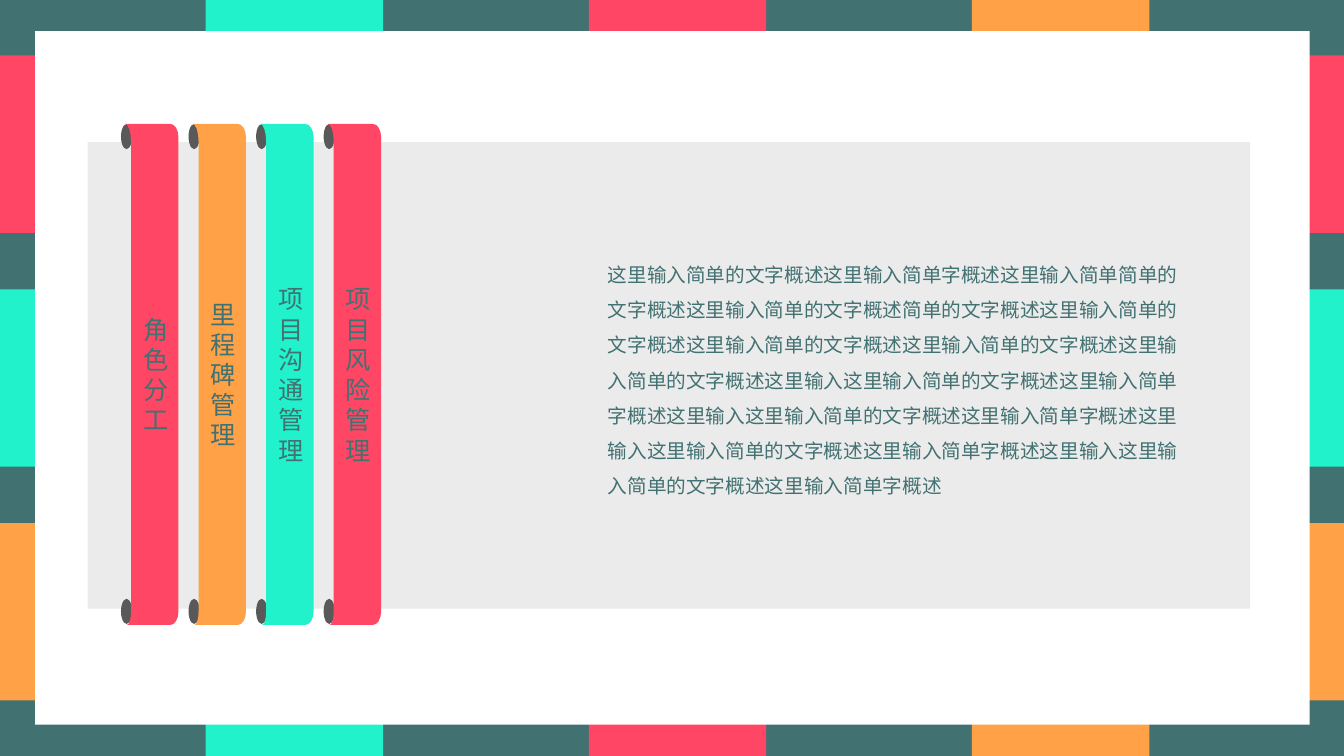
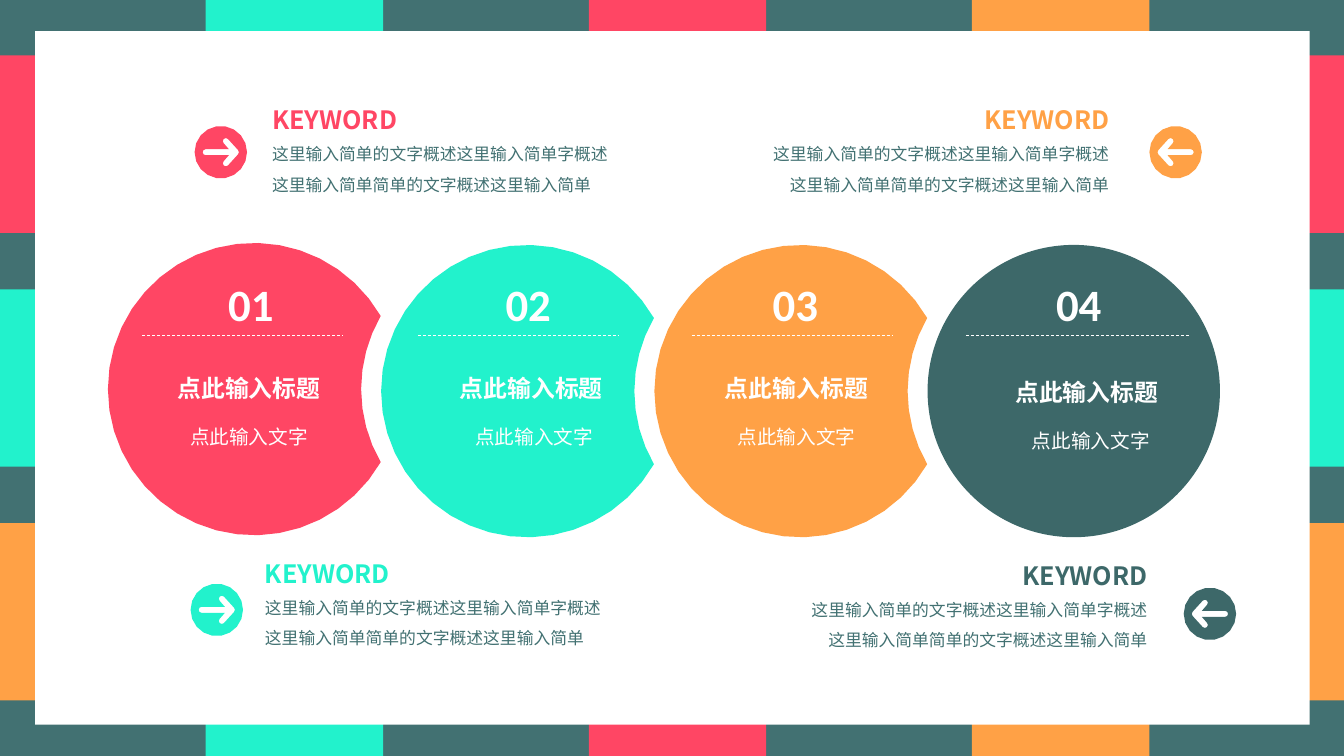
from dataclasses import dataclass
from math import acos, ceil, cos, degrees, radians, sin

from lxml.etree import SubElement
from pptx import Presentation
from pptx.dml.color import RGBColor as RGB
from pptx.enum.dml import MSO_LINE
from pptx.enum.shapes import MSO_CONNECTOR, MSO_SHAPE
from pptx.enum.text import MSO_ANCHOR as ANCHOR, MSO_AUTO_SIZE as FIT, PP_ALIGN as ALIGN
from pptx.oxml.ns import qn
from pptx.util import Inches, Pt


@dataclass(frozen=True)
class Theme:
    teal: str = "427172"
    slate: str = "3D6869"
    mint: str = "22F2CC"
    red: str = "FF4664"
    orange: str = "FFA146"
    white: str = "FFFFFF"
    panel: str = "BFBFBF"
    knob: str = "595959"
    cjk: str = "Noto Sans CJK SC"
    latin: str = "Calibri"
    number: int = 32
    heading: int = 18
    title: int = 17
    body: int = 14
    small: int = 12


t = Theme()
fills = []


def outline(s, contours, color):
    builder = None
    for arcs in contours:
        pts = []
        for cx, cy, rx, ry, start, end in arcs:
            sweep = end - start
            steps = ceil(abs(sweep) / degrees(2 * acos(1 - 0.004 / ry))) if sweep else 0
            for k in range(steps + 1):
                a = radians(start + sweep * k / max(steps, 1))
                pts.append((Inches(cx + rx * cos(a)), Inches(cy + ry * sin(a))))
        if builder is None:
            builder = s.shapes.build_freeform(*pts[0])
        else:
            builder.move_to(*pts[0])
        builder.add_line_segments(pts[1:], close=True)
    sp = builder.convert_to_shape()
    fills.append((sp, color))
    return sp


def write(tf, text, size, color, align=ALIGN.LEFT, bold=False, spacing=1.5, font=t.cjk, wrap=True):
    tf.text = text
    tf.word_wrap = wrap
    p = tf.paragraphs[0]
    p.alignment = align
    p.line_spacing = spacing
    r = p.runs[0]
    r.font.size = Pt(size)
    r.font.bold = bold
    r.font.color.rgb = RGB.from_string(color)
    r.font.name = font
    SubElement(r.font._element, qn("a:ea"), typeface=font)


prs = Presentation()
prs.slide_width, prs.slide_height = Inches(13.33), Inches(7.5)
layout = prs.slide_layouts[6]
for ph in list(layout.placeholders):
    layout.shapes.element.remove(ph.element)
s = prs.slides.add_slide(layout)

frame = [(0, 0, 13.33, 7.5, t.teal)]
for i, color in enumerate((t.red, t.mint, t.orange)):
    frame.append((0, 0.55 + 2.32 * i, 13.33, 1.76, color))
for i, color in enumerate((t.mint, t.red, t.orange)):
    frame.append((2.04 + 3.8 * i, 0, 1.76, 7.5, color))
frame.append((0.35, 0.31, 12.64, 6.88, t.white))
for *box, color in frame:
    sp = s.shapes.add_shape(MSO_SHAPE.RECTANGLE, *map(Inches, box))
    fills.append((sp, color))
    layout.shapes.element.append(sp.element)

panel = s.shapes.add_shape(MSO_SHAPE.RECTANGLE, Inches(0.87), Inches(1.41), Inches(11.53), Inches(4.63))
fills.append((panel, t.panel))

ribbons = [
    ("角色分工", t.red),
    ("里程碑管理", t.orange),
    ("项目沟通管理", t.mint),
    ("项目风险管理", t.red),
]
for i, (label, color) in enumerate(ribbons):
    x = 1.23 + 0.67 * i
    for y in (1.23, 5.94):
        sp = s.shapes.add_shape(MSO_SHAPE.OVAL, Inches(x - 0.03), Inches(y), Inches(0.11), Inches(0.25))
        fills.append((sp, t.knob))
    sp = outline(s, [[
        (x + 0.01, 1.4, 0.06, 0.17, 360, 270),
        (x + 0.46, 1.36, 0.08, 0.13, 270, 360),
        (x + 0.46, 6.07, 0.08, 0.13, 0, 90),
        (x + 0.03, 6.07, 0.04, 0.13, 90, 0),
    ]], color)
    tf = sp.text_frame
    tf.margin_left = Inches(0.08)
    tf.margin_top = tf.margin_right = tf.margin_bottom = 0
    tf.vertical_anchor = ANCHOR.MIDDLE
    write(tf, label, t.heading, t.teal, ALIGN.CENTER, spacing=1.0)

summary = (
    "这里输入简单的文字概述这里输入简单字概述这里输入简单简单的文字概述这里输入简单的文字概述"
    "简单的文字概述这里输入简单的文字概述这里输入简单的文字概述这里输入简单的文字概述"
    "这里输入简单的文字概述这里输入这里输入简单的文字概述这里输入简单字概述这里输入"
    "这里输入简单的文字概述这里输入简单字概述这里输入这里输入简单的文字概述这里输入简单字概述"
    "这里输入这里输入简单的文字概述这里输入简单字概述"
)
tb = s.shapes.add_textbox(Inches(5.93), Inches(2.44), Inches(6.01), Inches(2.57))
tb.text_frame.auto_size = FIT.SHAPE_TO_FIT_TEXT
write(tb.text_frame, summary, t.body, t.teal)

s = prs.slides.add_slide(layout)
radius = 1.45
bite = 2 * radius * cos(radians(30))
steps = [
    (t.red, 3.86, 2.16, 1.41, 3.4, 1.12, 1.12, 3.52),
    (t.mint, 3.88, 4.91, 4.15, 6.14, 3.92, 3.95, 3.52),
    (t.orange, 3.88, 7.56, 6.86, 8.85, 6.55, 6.55, 3.52),
    (t.slate, 3.88, 10.37, 9.58, 11.8, 9.43, 9.47, 3.56),
]
texts = []
for i, (color, cy, number_x, rule_x, rule_end, title_x, caption_x, title_y) in enumerate(steps):
    cx = 2.52 + 2.71 * i
    if i < 3:
        outline(s, [[
            (cx, cy, radius, radius, 30, 330),
            (cx + bite, cy, radius, radius, 210, 150),
        ]], color)
    else:
        sp = s.shapes.add_shape(MSO_SHAPE.OVAL, Inches(cx - radius), Inches(cy - radius),
                                Inches(2 * radius), Inches(2 * radius))
        fills.append((sp, color))
    rule = s.shapes.add_connector(MSO_CONNECTOR.STRAIGHT, Inches(rule_x), Inches(3.33),
                                  Inches(rule_end), Inches(3.33))
    rule.line.color.rgb = RGB.from_string(t.white)
    rule.line.width = Pt(0.5)
    rule.line.dash_style = MSO_LINE.DASH
    SubElement(rule.element.spPr, qn("a:effectLst"))
    white = dict(color=t.white, align=ALIGN.CENTER)
    texts += [
        ((number_x, 2.43, 0.66, 0.83),
         dict(white, text=f"{i + 1:02}", size=t.number, bold=True, font=t.latin, wrap=False)),
        ((title_x, title_y, 2.7, 0.48), dict(white, text="点此输入标题", size=t.title, bold=True)),
        ((caption_x, title_y + 0.53, 2.7, 0.41), dict(white, text="点此输入文字", size=t.body)),
    ]

detail = "这里输入简单的文字概述这里输入简单字概述这里输入简单简单的文字概述这里输入简单"
callouts = [
    (t.red, 1, 2.19, 1.51, 2.6, 0.99),
    (t.mint, 1, 2.15, 6.05, 2.53, 5.49),
    (t.orange, -1, 11.66, 1.51, 7.5, 0.99),
    (t.slate, -1, 12, 6.09, 7.88, 5.51),
]
arrow = [
    (0.08, -0.03, 0, 0, 0),
    (-0.15, 0, 0.03, 270, 90),
    (0.08, 0.03, 0, 0, 0),
    (0.05, 0.11, 0.03, 225, 45),
    (0.15, 0, 0.03, 45, -45),
    (0.05, -0.11, 0.03, -45, -225),
]
for color, way, cx, cy, x, y in callouts:
    outline(s, [
        [(cx, cy, 0.26, 0.26, 0, 360)],
        [(cx + way * ax, cy + ay, way * r, r, start, end) for ax, ay, r, start, end in arrow],
    ], color)
    align = ALIGN.LEFT if way > 0 else ALIGN.RIGHT
    keyword_x = x if way > 0 else x + 3.6 - 1.54
    texts += [
        ((keyword_x, y, 1.54, 0.4),
         dict(text="KEYWORD", size=t.heading, color=color, align=align, bold=True, spacing=1.0)),
        ((x, y + 0.29, 3.6, 0.67), dict(text=detail, size=t.small, color=t.teal, align=align)),
    ]

for box, style in texts:
    tb = s.shapes.add_textbox(*map(Inches, box))
    tb.text_frame.auto_size = FIT.SHAPE_TO_FIT_TEXT
    write(tb.text_frame, **style)

for sp, color in fills:
    sp.shadow.inherit = False
    sp.fill.solid()
    sp.fill.fore_color.rgb = RGB.from_string(color)
    sp.line.fill.background()
SubElement(panel.element.spPr.find(".//" + qn("a:srgbClr")), qn("a:alpha"), val="30000")

prs.save("out.pptx")
